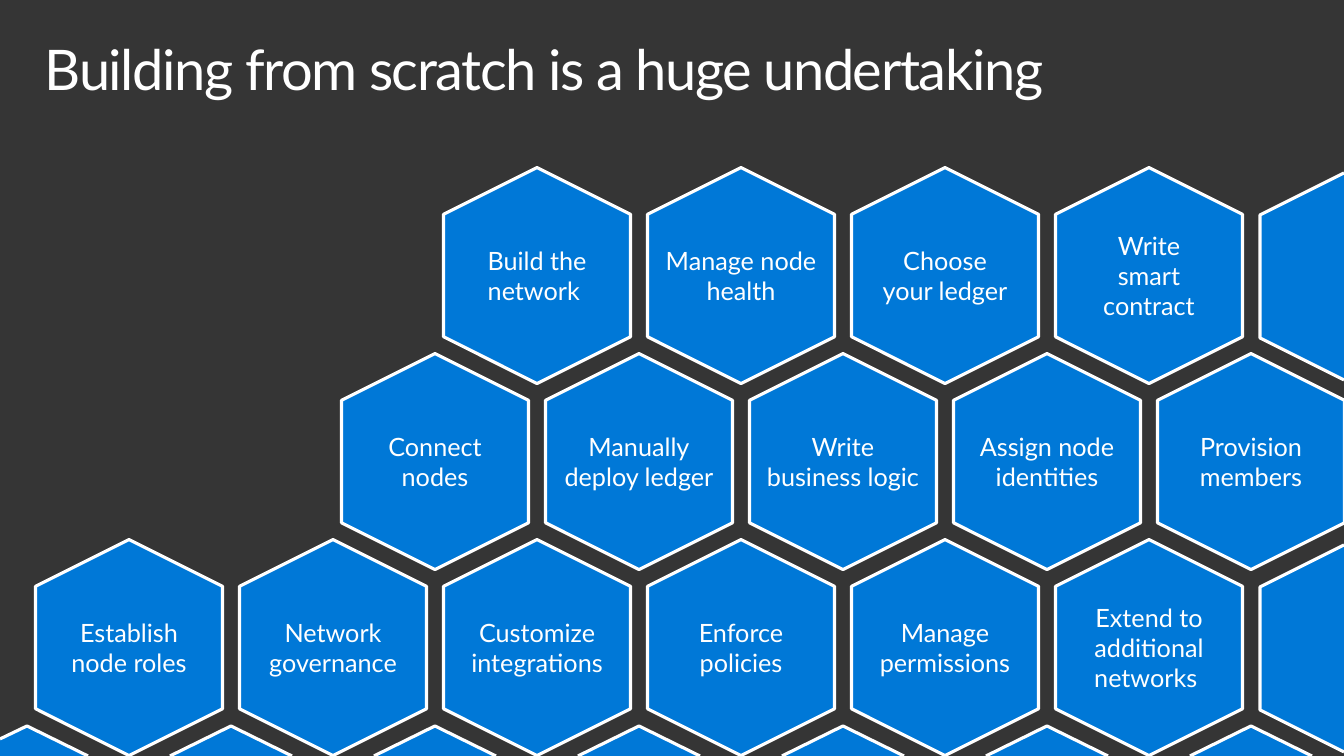
from dataclasses import dataclass

from pptx import Presentation
from pptx.dml.color import RGBColor
from pptx.enum.shapes import MSO_SHAPE
from pptx.enum.text import MSO_ANCHOR, PP_ALIGN
from pptx.shapes.autoshape import Shape
from pptx.slide import Slide
from pptx.text.text import TextFrame, _Paragraph, _Run
from pptx.util import Emu, Pt

COLORS = {"background": "353535", "hexagon": "0078D7", "white": "FFFFFF"}
FONT = "Lato"
EMU_PER_PX = 914400 / 100.8
SLIDE_WIDTH, SLIDE_HEIGHT = 1344, 756

# Hexagons stand on a point: LENGTH runs from tip to tip, BREADTH from side to side.
LENGTH, BREADTH = 216, 187
COLUMN_PITCH, ROW_PITCH = 204, 186
FIRST_CENTER_Y = 276

Point = tuple[int, int]


@dataclass(frozen=True)
class HexagonRow:
    first_center_x: int
    labels: tuple[str, ...]


ROWS = (
    HexagonRow(537, ("Build the network ", "Manage node\nhealth",
                     "Choose your ledger", "Write smart contract")),
    HexagonRow(435, ("Connect nodes", "Manually\ndeploy ledger", "Write\nbusiness logic",
                     "Assign node\nidentities", "Provision members")),
    HexagonRow(129, ("Establish\nnode roles", "Network\ngovernance",
                     "Customize\nintegrations", "Enforce policies",
                     "Manage\npermissions", "Extend to additional networks ")),
)


@dataclass(frozen=True)
class CutHexagon:
    """A hexagon cut by the slide edge: its visible outline, and any slide corner it covers."""
    outline: tuple[Point, ...]
    corner: tuple[Point, ...] = ()


def px(length: int) -> Emu:
    return Emu(round(length * EMU_PER_PX))


def color(name: str) -> RGBColor:
    return RGBColor.from_string(COLORS[name])


def set_margins(frame: TextFrame, horizontal: int, vertical: int) -> None:
    frame.margin_left = frame.margin_right = px(horizontal)
    frame.margin_top = frame.margin_bottom = px(vertical)


def add_run(paragraph: _Paragraph, text: str, size: int) -> _Run:
    run = paragraph.add_run()
    run.text = text
    run.font.name = FONT
    run.font.size = Pt(size)
    run.font.color.rgb = color("white")
    return run


def draw_outline(shape: Shape) -> None:
    shape.line.color.rgb = color("white")
    shape.line.width = Pt(2.25)


def fill_hexagon(shape: Shape) -> None:
    shape.fill.solid()
    shape.fill.fore_color.rgb = color("hexagon")


def add_title(slide: Slide, text: str) -> None:
    box = slide.shapes.add_textbox(px(29), px(32), px(1285), px(99))
    frame = box.text_frame
    frame.word_wrap = True
    set_margins(frame, 16, 10)
    paragraph = frame.paragraphs[0]
    paragraph.line_spacing = 0.9
    run = add_run(paragraph, text, 40)
    run.font._element.set("spc", "-100")


def add_hexagon(slide: Slide, center_x: int, center_y: int, label: str) -> None:
    top = round(center_y - BREADTH / 2)
    shape = slide.shapes.add_shape(MSO_SHAPE.HEXAGON, px(center_x - LENGTH // 2), px(top),
                                   px(LENGTH), px(BREADTH))
    shape.rotation = 90
    shape.shadow.inherit = False
    fill_hexagon(shape)
    draw_outline(shape)

    frame = shape.text_frame
    frame.word_wrap = "\n" not in label
    frame.vertical_anchor = MSO_ANCHOR.MIDDLE
    set_margins(frame, 0, 0)
    frame._bodyPr.set("vert", "vert270")
    paragraph = frame.paragraphs[0]
    paragraph.alignment = PP_ALIGN.CENTER
    for index, line in enumerate(label.split("\n")):
        if index:
            paragraph.add_line_break()
        add_run(paragraph, line, 18)


def add_path(slide: Slide, points: tuple[Point, ...], close: bool) -> Shape:
    builder = slide.shapes.build_freeform(*points[0], scale=EMU_PER_PX)
    builder.add_line_segments(points[1:], close=close)
    shape = builder.convert_to_shape()
    shape.shadow.inherit = False
    return shape


def add_cut_hexagon(slide: Slide, hexagon: CutHexagon) -> None:
    """Fill the visible part, then stroke only the sides that lie on the slide."""
    body = add_path(slide, hexagon.outline + hexagon.corner, close=True)
    fill_hexagon(body)
    body.line.fill.background()
    edge = add_path(slide, hexagon.outline, close=False)
    edge.fill.background()
    draw_outline(edge)


def cut_hexagons() -> list[CutHexagon]:
    right = [
        CutHexagon(((SLIDE_WIDTH, tip + 212), (1260, tip + 170),
                    (1260, tip + 47), (SLIDE_WIDTH, tip + 5)))
        for tip in (168, 168 + 2 * ROW_PITCH)
    ]
    tip_y = 168 + 3 * ROW_PITCH
    tips = [27 + COLUMN_PITCH * column for column in range(7)]
    corner = CutHexagon(((0, 739), (tips[0], tip_y), (tips[0] + 61, SLIDE_HEIGHT)),
                        ((0, SLIDE_HEIGHT),))
    bottom = [
        CutHexagon(((x - 61, SLIDE_HEIGHT), (x, tip_y), (x + 61, SLIDE_HEIGHT)))
        for x in tips[1:]
    ]
    return [*right, corner, *bottom]


def main() -> None:
    presentation = Presentation()
    presentation.slide_width = px(SLIDE_WIDTH)
    presentation.slide_height = px(SLIDE_HEIGHT)
    slide = presentation.slides.add_slide(presentation.slide_layouts[6])
    slide.background.fill.solid()
    slide.background.fill.fore_color.rgb = color("background")

    add_title(slide, "Building from scratch is a huge undertaking")
    for row_index, row in enumerate(ROWS):
        center_y = FIRST_CENTER_Y + ROW_PITCH * row_index
        for column, label in enumerate(row.labels):
            add_hexagon(slide, row.first_center_x + COLUMN_PITCH * column, center_y, label)
    for hexagon in cut_hexagons():
        add_cut_hexagon(slide, hexagon)
    presentation.save("out.pptx")


if __name__ == "__main__":
    main()
